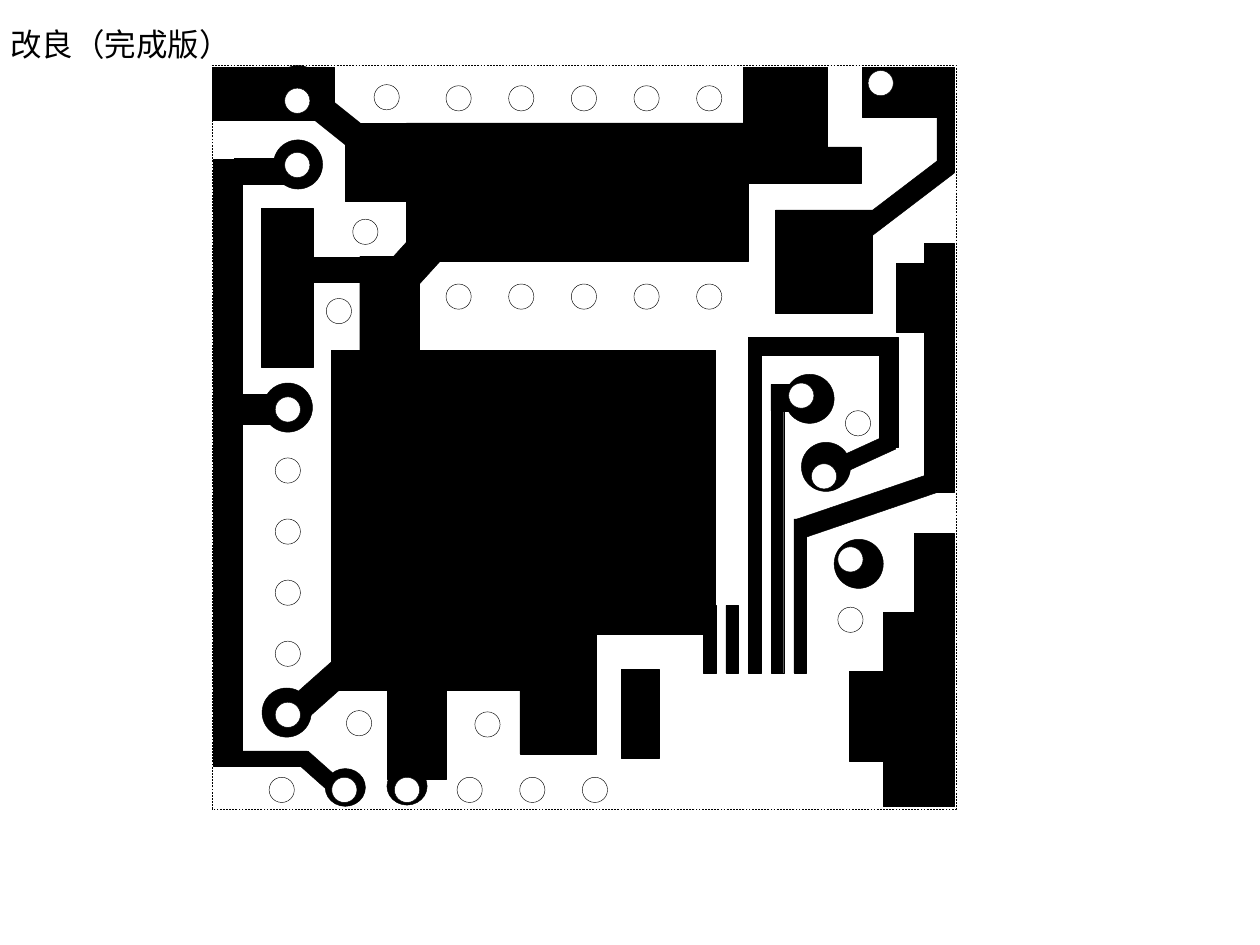
from math import atan2, degrees, hypot

from pptx import Presentation
from pptx.dml.color import RGBColor
from pptx.enum.dml import MSO_LINE
from pptx.enum.shapes import MSO_SHAPE
from pptx.enum.text import MSO_ANCHOR, MSO_AUTO_SIZE, PP_ALIGN
from pptx.util import Pt

BLACK, WHITE = "000000", "FFFFFF"
TITLE = "改良（完成版）"
TITLE_BOX = (-1.4, 10.8, 141.8, 28.8)

# Edges that several parts share
BOARD = (121, 37.4, 546.5, 462.2)
TOP, RIGHT, BOTTOM = 38.4, 545.4, 461
PLANE_LEFT, PLANE_BOTTOM, FOOT_TOP = 189.4, 394.6, 384.8
LEFT_BUS_X, RIGHT_BUS_X = 130.3, 536.8
VIA_COLUMN_X = 164.5

# Solid copper: left, top, right, bottom
AREAS = {
    "top left corner": (121.3, TOP, 191.1, 68.7),
    "top right corner": (492.8, TOP, 542.5, 67.2),
    "upper plane": (232.2, 70.2, 427.3, 149.4),
    "upper plane, left step": (197.3, 70.6, 254.9, 115.2),
    "upper plane, top tab": (424.8, TOP, 473, 89.3),
    "upper plane, side tab": (424.4, 83.9, 492.1, 104.8),
    "neck between planes": (205.6, 146.5, 239.4, 217.1),
    "main plane": (PLANE_LEFT, 200.2, 409, 362.2),
    "main plane, lower part": (PLANE_LEFT, 250.6, 340.6, PLANE_BOTTOM),
    "left foot": (221.4, FOOT_TOP, 255.2, 445.3),
    "right foot": (297, FOOT_TOP, 340.9, 430.9),
    "left pad": (149.4, 119.2, 178.9, 209.9),
    "right pad": (443.2, 119.9, 498.6, 178.9),
    "bottom pad": (355, 382.3, 376.6, 433.4),
    "right bus shoulder": (512.3, 150.5, 529.6, 190.1),
    "right stair, outer": (522.4, 304.9, RIGHT, BOTTOM),
    "right stair, middle": (504.7, 349.9, 527.7, BOTTOM),
    "right stair, inner": (485.3, 383.8, 506.9, 434.9),
}

# Strips of copper: start, end, width
TRACES = {
    "left bus": ((LEFT_BUS_X, 91.1), (LEFT_BUS_X, 438.1), 16.6),
    "left bus to upper via": ((133.9, 97.9), (162.7, 97.9), 14.4),
    "left bus to middle via": ((133.2, 234), (157, 234), 17.3),
    "left bus foot": ((138.2, 433.4), (175.7, 433.4), 8.6),
    "left bus to bottom pad": ((173.1, 432.9), (191.3, 449.1), 9.4),
    "lower via to main plane": ((167.2, 408), (219.4, 361.6), 15.1),
    "top via to upper plane": ((175.1, 55.4), (220.1, 91.4), 15.1),
    "left pad to neck": ((150.5, 154.1), (219.6, 154.1), 14.4),
    "neck to upper plane": ((224, 163.6), (271.4, 111.4), 21.6),
    "left foot to pad": ((231.5, 393.8), (231.5, 447.8), 13.7),
    "corner down": ((540.4, TOP), (540.4, 98.3), 10.1),
    "corner to right pad": ((472, 147.6), (541.8, 94.4), 11.5),
    "right bus": ((RIGHT_BUS_X, 139.3), (RIGHT_BUS_X, 281.1), 17.3),
    "right bus to fan": ((456.7, 302.3), (540.5, 273.7), 11.5),
    "fan loop, top": ((427.7, 198), (513.4, 198), 10.1),
    "fan loop, side": ((508, 198.7), (508, 255.6), 10.8),
    "fan loop to via": ((472, 269.7), (510, 252.3), 9.4),
    "fan to upper via": ((440.6, 227.2), (452.9, 227.2), 15.1),
}

# Parallel legs of the fan, left to right
FAN_TOPS = [346, 346, 203, 225, 296.6]
FAN_X, FAN_PITCH, FAN_BOTTOM, FAN_WIDTH = 405.4, 12.95, 384.6, 7.2

# Round parts, all placed by their centres
PAD_SIZE, END_PAD_SIZE, HOLE_SIZE = (28.1, 28.1), (23, 21.6), (14.4, 14.4)
END_PADS = [(197.3, 450), (232.6, 449.3)]
COLUMN_PADS = [(VIA_COLUMN_X, 232.9), (163.8, 407.2)]
VIAS = {  # pad centre, offset of the hole from it
    "top left": ((170.3, 51.5), (-0.4, 6.1)),
    "upper left": ((170.3, 94), (-0.4, 0.3)),
    "top right": ((508, 52.9), (-4.7, -5.4)),
    "fan, upper": ((462.6, 227.9), (-4.7, -1.8)),
    "fan, lower": ((472, 266.8), (-1.1, 5.4)),
    "right": ((490.7, 322.2), (-4.7, -2.5)),
}
HOLE_LINES = {  # first centre, step, count
    "above upper plane": ((262.1, 56.2), (35.8, 0), 5),
    "below upper plane": ((262.1, 169.5), (35.8, 0), 5),
    "left column": ((VIA_COLUMN_X, 234), (0, 34.9), 6),
    "bottom row": ((161, 451.4), (35.8, 0), 6),
}
LONE_HOLES = {
    "top": [(221, 55.6)],
    "beside neck": [(208.8, 132.5), (193.7, 177.8)],
    "beside left foot": [(205.2, 413.3), (278.6, 414)],
    "right side": [(490.3, 241.9), (486, 354.2)],
}


def rgb(value):
    return RGBColor.from_string(value)


def add_part(s, kind, centre, size, fill=None, rotation=0):
    (x, y), (w, h) = centre, size
    sp = s.shapes.add_shape(kind, *map(Pt, (x - w / 2, y - h / 2, w, h)))
    sp.shadow.inherit = False
    sp.rotation = rotation
    if fill:
        sp.fill.solid()
        sp.fill.fore_color.rgb = rgb(fill)
    else:
        sp.fill.background()
    sp.line.color.rgb = rgb(BLACK)
    sp.line.width = Pt(0.25)
    return sp


def add_area(s, edges, fill=None):
    left, top, right, bottom = edges
    centre = ((left + right) / 2, (top + bottom) / 2)
    size = (right - left, bottom - top)
    return add_part(s, MSO_SHAPE.RECTANGLE, centre, size, fill)


def add_trace(s, start, end, width):
    """Lay a rectangle along the line from start to end."""
    (x1, y1), (x2, y2) = start, end
    centre = ((x1 + x2) / 2, (y1 + y2) / 2)
    size = (hypot(x2 - x1, y2 - y1), width)
    angle = degrees(atan2(y2 - y1, x2 - x1)) % 360
    add_part(s, MSO_SHAPE.RECTANGLE, centre, size, BLACK, angle)


def add_rounds(s, centres, size, fill):
    for centre in centres:
        add_part(s, MSO_SHAPE.OVAL, centre, size, fill)


def hole_centres():
    for (x, y), (dx, dy), count in HOLE_LINES.values():
        yield from ((x + i * dx, y + i * dy) for i in range(count))
    for (x, y), (dx, dy) in VIAS.values():
        yield x + dx, y + dy
    for centres in LONE_HOLES.values():
        yield from centres


def add_title(s):
    sp = s.shapes.title
    sp.left, sp.top, sp.width, sp.height = map(Pt, TITLE_BOX)
    tf = sp.text_frame
    tf.text = TITLE
    p = tf.paragraphs[0]
    font = p.runs[0].font
    formats = [
        (tf, {"word_wrap": False, "vertical_anchor": MSO_ANCHOR.TOP,
              "auto_size": MSO_AUTO_SIZE.SHAPE_TO_FIT_TEXT}),
        (p, {"alignment": PP_ALIGN.LEFT}),
        (font, {"name": "Calibri", "size": Pt(18)}),
    ]
    for target, values in formats:
        for name, value in values.items():
            setattr(target, name, value)
    font.color.rgb = rgb(BLACK)


def main():
    prs = Presentation()
    prs.slide_width, prs.slide_height = Pt(720), Pt(540)
    s = prs.slides.add_slide(prs.slide_layouts[5])
    add_title(s)
    add_area(s, BOARD).line.dash_style = MSO_LINE.DASH
    for edges in AREAS.values():
        add_area(s, edges, BLACK)
    for start, end, width in TRACES.values():
        add_trace(s, start, end, width)
    for i, top in enumerate(FAN_TOPS):
        x = FAN_X + i * FAN_PITCH
        add_trace(s, (x, top), (x, FAN_BOTTOM), FAN_WIDTH)
    # Holes come last so that they stay open through the copper
    via_pads = [pad for pad, _ in VIAS.values()]
    add_rounds(s, via_pads + COLUMN_PADS, PAD_SIZE, BLACK)
    add_rounds(s, END_PADS, END_PAD_SIZE, BLACK)
    add_rounds(s, hole_centres(), HOLE_SIZE, WHITE)
    prs.save("out.pptx")


if __name__ == "__main__":
    main()
